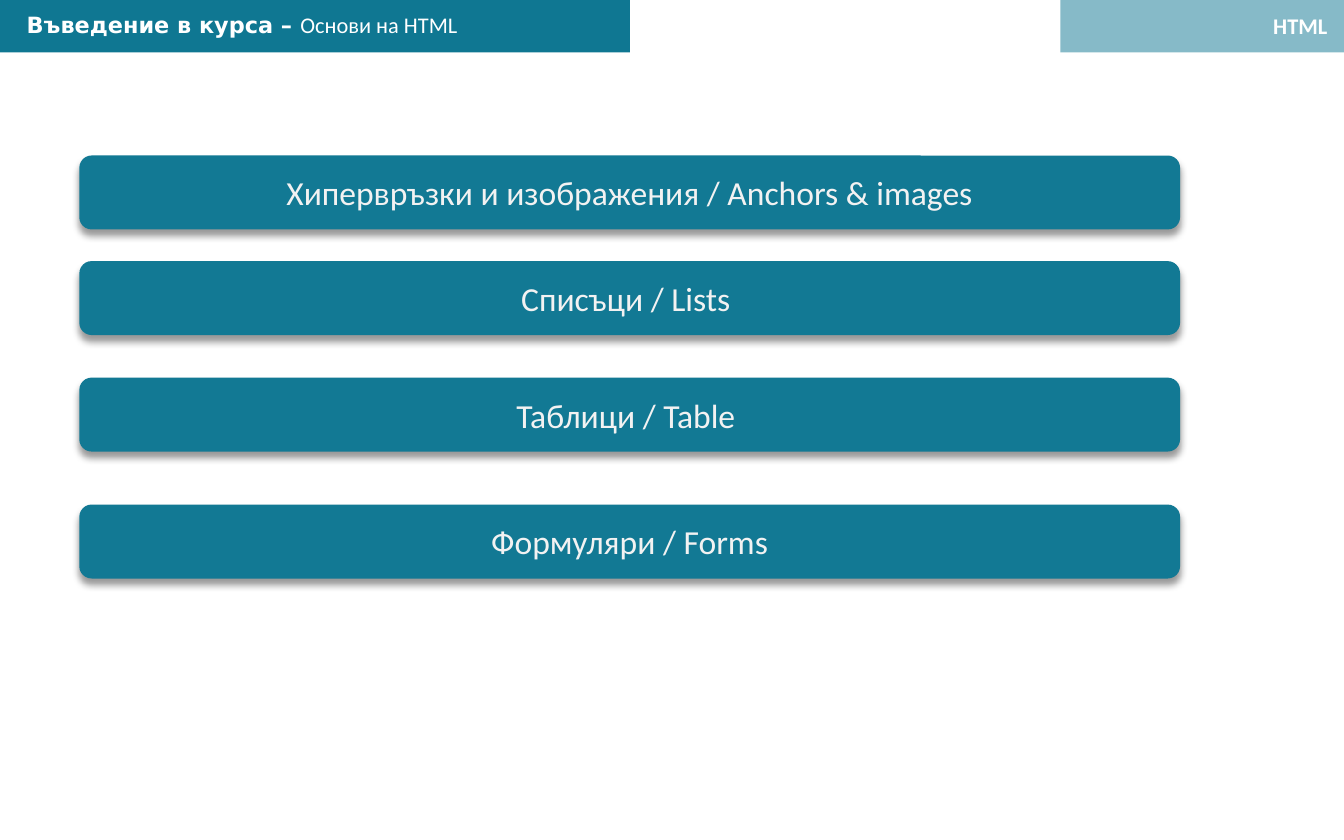
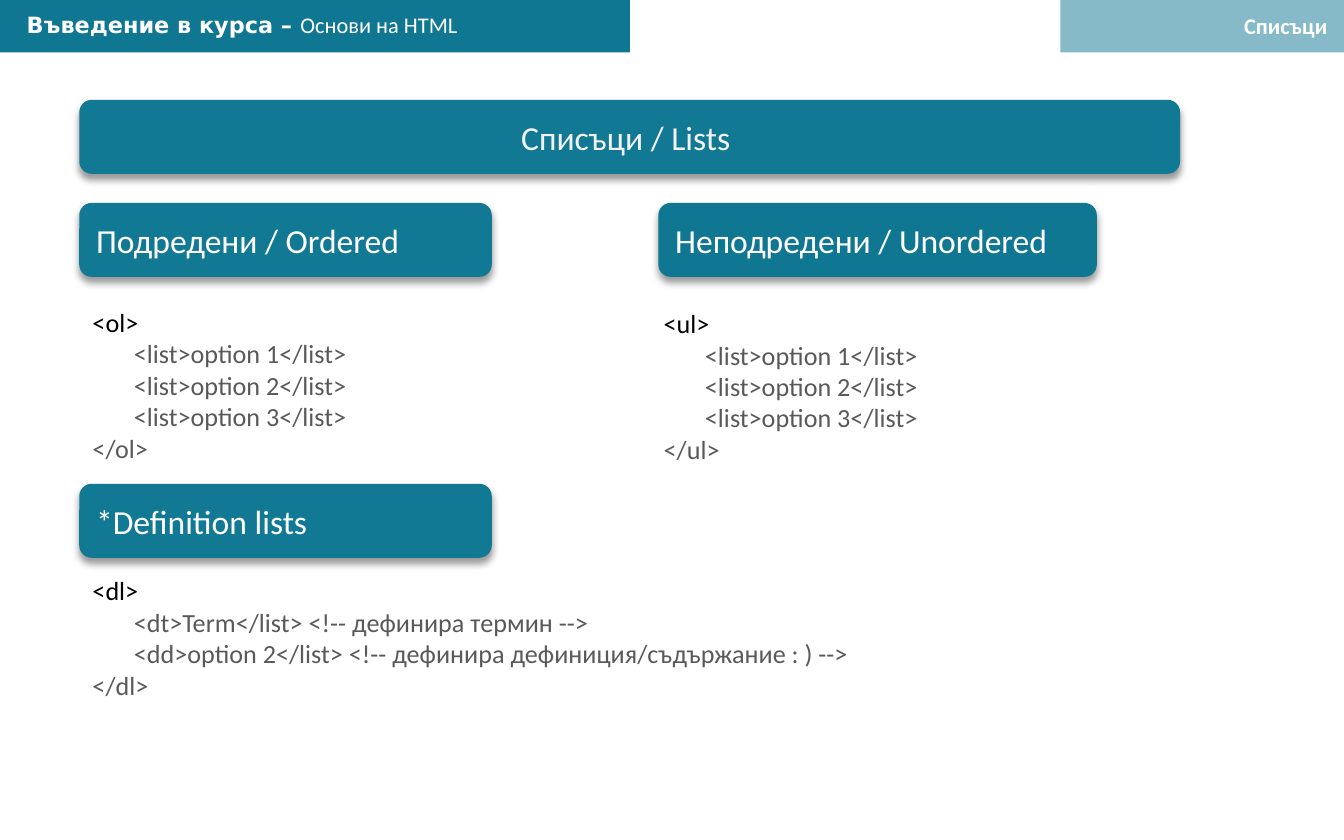
from dataclasses import dataclass

from lxml.etree import SubElement
from pptx import Presentation
from pptx.dml.color import RGBColor
from pptx.enum.shapes import MSO_SHAPE as Preset
from pptx.enum.text import MSO_ANCHOR as Anchor
from pptx.enum.text import MSO_AUTO_SIZE as AutoSize
from pptx.enum.text import PP_ALIGN as Align
from pptx.oxml.ns import qn
from pptx.shapes.autoshape import Shape
from pptx.slide import Slide
from pptx.text.text import TextFrame, _Paragraph as Paragraph
from pptx.util import Pt


# Theme
@dataclass(frozen=True)
class Theme:
    band: str = "0F7792"
    card: str = "127994"
    white: str = "FFFFFF"
    soft_white: str = "F2F2F2"
    black: str = "000000"
    gray: str = "595959"
    font: str = "Calibri"
    course_font: str = "DejaVu Sans"
    header_size: float = 12
    code_size: float = 14
    card_size: float = 18


THEME = Theme()
LEFT = 42.5
CARD_HEIGHT = 39.6
WIDE_CARD = 589.7
NARROW_CARD = 221
CODE_INDENT = 22.1
LABEL_RIGHT = 718.2


@dataclass(frozen=True)
class Box:
    left: float
    top: float
    width: float
    height: float

    def lengths(self) -> tuple[Pt, Pt, Pt, Pt]:
        return Pt(self.left), Pt(self.top), Pt(self.width), Pt(self.height)


@dataclass(frozen=True)
class Card:
    text: str
    top: float
    left: float = LEFT
    width: float = WIDE_CARD
    align: Align = Align.CENTER
    fill: str = THEME.card
    color: str = THEME.soft_white


@dataclass(frozen=True)
class CodeBlock:
    tag: str
    items: tuple[str, ...]
    box: Box


# Text
def write(paragraph: Paragraph, text: str, *, size: float, color: str,
          font: str = THEME.font, bold: bool = False,
          align: Align = Align.LEFT) -> None:
    paragraph.alignment = align
    run = paragraph.add_run()
    run.text = text
    run.font.name = font
    run.font.size = Pt(size)
    run.font.bold = bold
    run.font.color.rgb = RGBColor.from_string(color)


def add_text_frame(slide: Slide, box: Box, wrap: bool = True) -> TextFrame:
    frame = slide.shapes.add_textbox(*box.lengths()).text_frame
    frame.word_wrap = wrap
    frame.auto_size = AutoSize.SHAPE_TO_FIT_TEXT
    return frame


# Shapes
def add_block(slide: Slide, preset: Preset, box: Box, fill: str) -> Shape:
    shape = slide.shapes.add_shape(preset, *box.lengths())
    shape.fill.solid()
    shape.fill.fore_color.rgb = RGBColor.from_string(fill)
    shape.line.fill.background()
    shape.shadow.inherit = False
    return shape


def set_alpha(color_element, percent: int) -> None:
    SubElement(color_element, qn("a:alpha"), val=str(percent * 1000))


def add_shadow(shape: Shape) -> None:
    effects = shape._element.spPr.find(qn("a:effectLst"))
    shadow = SubElement(effects, qn("a:outerShdw"), blurRad=str(Pt(4)),
                        dist=str(Pt(3)), dir="5400000", rotWithShape="0")
    set_alpha(SubElement(shadow, qn("a:srgbClr"), val=THEME.black), 40)


def add_card(slide: Slide, card: Card) -> None:
    box = Box(card.left, card.top, card.width, CARD_HEIGHT)
    shape = add_block(slide, Preset.ROUNDED_RECTANGLE, box, card.fill)
    add_shadow(shape)
    frame = shape.text_frame
    frame.word_wrap = True
    frame.vertical_anchor = Anchor.MIDDLE
    write(frame.paragraphs[0], card.text, size=THEME.card_size,
          color=card.color, align=card.align)


def add_code(slide: Slide, block: CodeBlock) -> None:
    frame = add_text_frame(slide, block.box)
    write(frame.paragraphs[0], f"<{block.tag}>",
          size=THEME.code_size, color=THEME.black)
    for item in block.items:
        paragraph = frame.add_paragraph()
        paragraph._p.get_or_add_pPr().set("marL", str(Pt(CODE_INDENT)))
        write(paragraph, item, size=THEME.code_size, color=THEME.gray)
    write(frame.add_paragraph(), f"</{block.tag}>",
          size=THEME.code_size, color=THEME.gray)


# Shared header
def add_header(slide: Slide, label: str, label_width: float) -> None:
    pale_band = add_block(slide, Preset.RECTANGLE,
                          Box(568.1, 0, 151.9, 28.1), THEME.band)
    set_alpha(pale_band._element.spPr.find(f".//{qn('a:srgbClr')}"), 50)
    add_block(slide, Preset.RECTANGLE, Box(0, 0, 337.5, 28.1), THEME.band)

    course = add_text_frame(slide, Box(7.2, 2.2, 324.7, 21.8)).paragraphs[0]
    write(course, "Въведение в курса – ", size=THEME.header_size,
          color=THEME.white, font=THEME.course_font, bold=True)
    write(course, "Основи на HTML", size=THEME.header_size, color=THEME.white)

    label_box = Box(LABEL_RIGHT - label_width, 3, label_width, 21.8)
    write(add_text_frame(slide, label_box, wrap=False).paragraphs[0], label,
          size=THEME.header_size, color=THEME.white, bold=True,
          align=Align.RIGHT)


# Slides
def add_slide(presentation: Presentation, label: str, label_width: float,
              cards: list[Card], blocks: list[CodeBlock]) -> None:
    slide = presentation.slides.add_slide(presentation.slide_layouts[6])
    add_header(slide, label, label_width)
    for card in cards:
        add_card(slide, card)
    for block in blocks:
        add_code(slide, block)


def heading(text: str, top: float, left: float = LEFT,
            width: float = NARROW_CARD, fill: str = THEME.card) -> Card:
    return Card(text, top, left, width, Align.LEFT, fill, THEME.white)


TOPICS = [
    Card("Хипервръзки и изображения / Anchors & images", 83.3),
    Card("Списъци / Lists ", 139.9),
    Card("Таблици / Table ", 202.3),
    Card("Формуляри / Forms", 270.3),
]

LIST_CARDS = [
    Card("Списъци / Lists ", 53.5),
    heading("Подредени / Ordered", 108.7),
    heading("Неподредени / Unordered", 108.7, left=352.7, width=234.9,
            fill=THEME.band),
    heading("*Definition lists", 259.2),
]

OPTIONS = tuple(f"<list>option {number}</list>" for number in range(1, 4))
DEFINITIONS = (
    "<dt>Term</list> <!-- дефинира термин -->",
    "<dd>option 2</list> <!-- дефинира дефиниция/съдържание : ) -->",
)
LIST_CODE = [
    CodeBlock("ol", OPTIONS, Box(LEFT, 160.6, 249.1, 92.2)),
    CodeBlock("ul", OPTIONS, Box(348.5, 161.3, 249.1, 92.2)),
    CodeBlock("dl", DEFINITIONS, Box(LEFT, 304.4, 532.8, 74.9)),
]


def main() -> None:
    presentation = Presentation()
    presentation.slide_width = Pt(720)
    presentation.slide_height = Pt(450)
    add_slide(presentation, "HTML", 43.9, TOPICS, [])
    add_slide(presentation, "Списъци", 59.8, LIST_CARDS, LIST_CODE)
    presentation.save("out.pptx")


if __name__ == "__main__":
    main()
